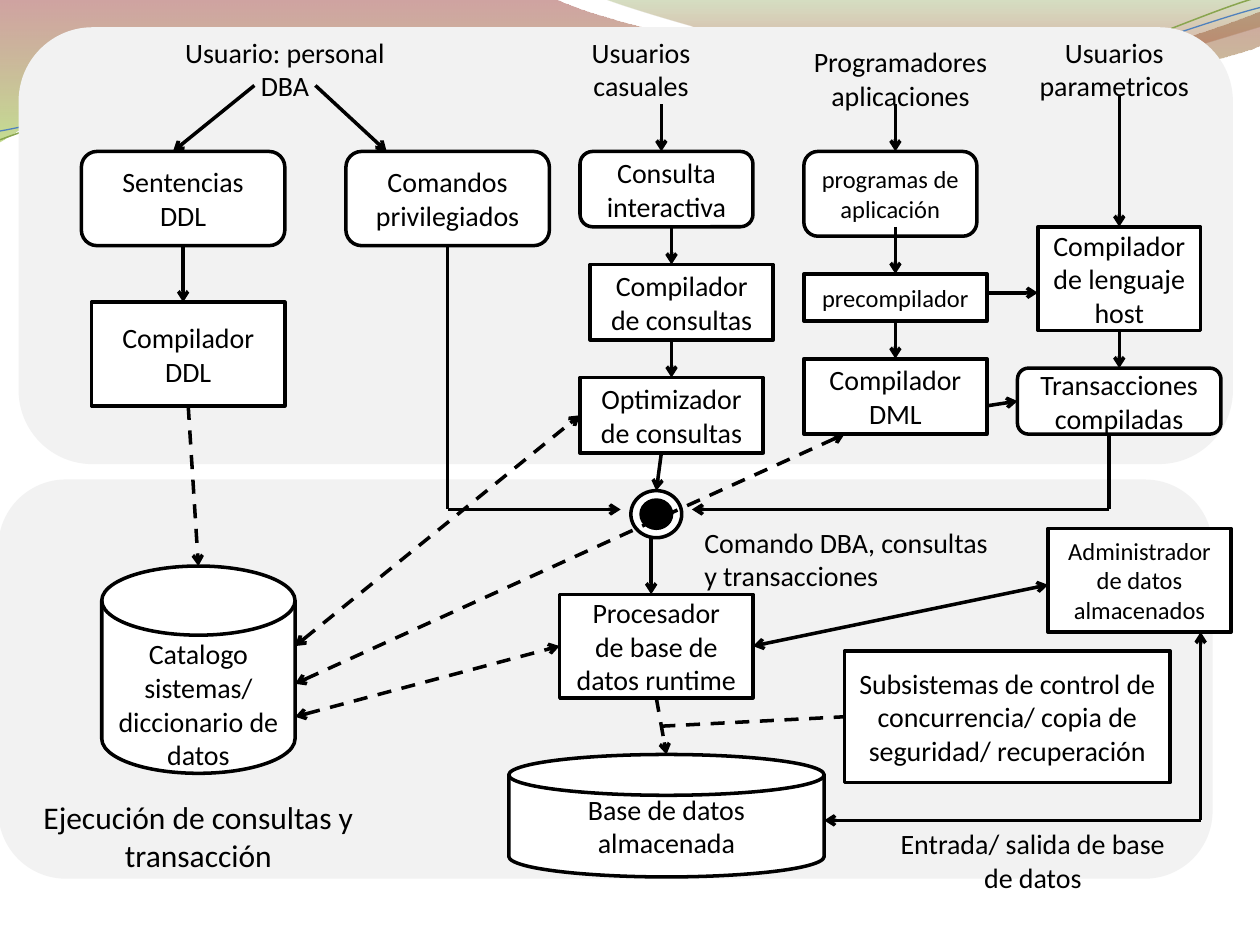
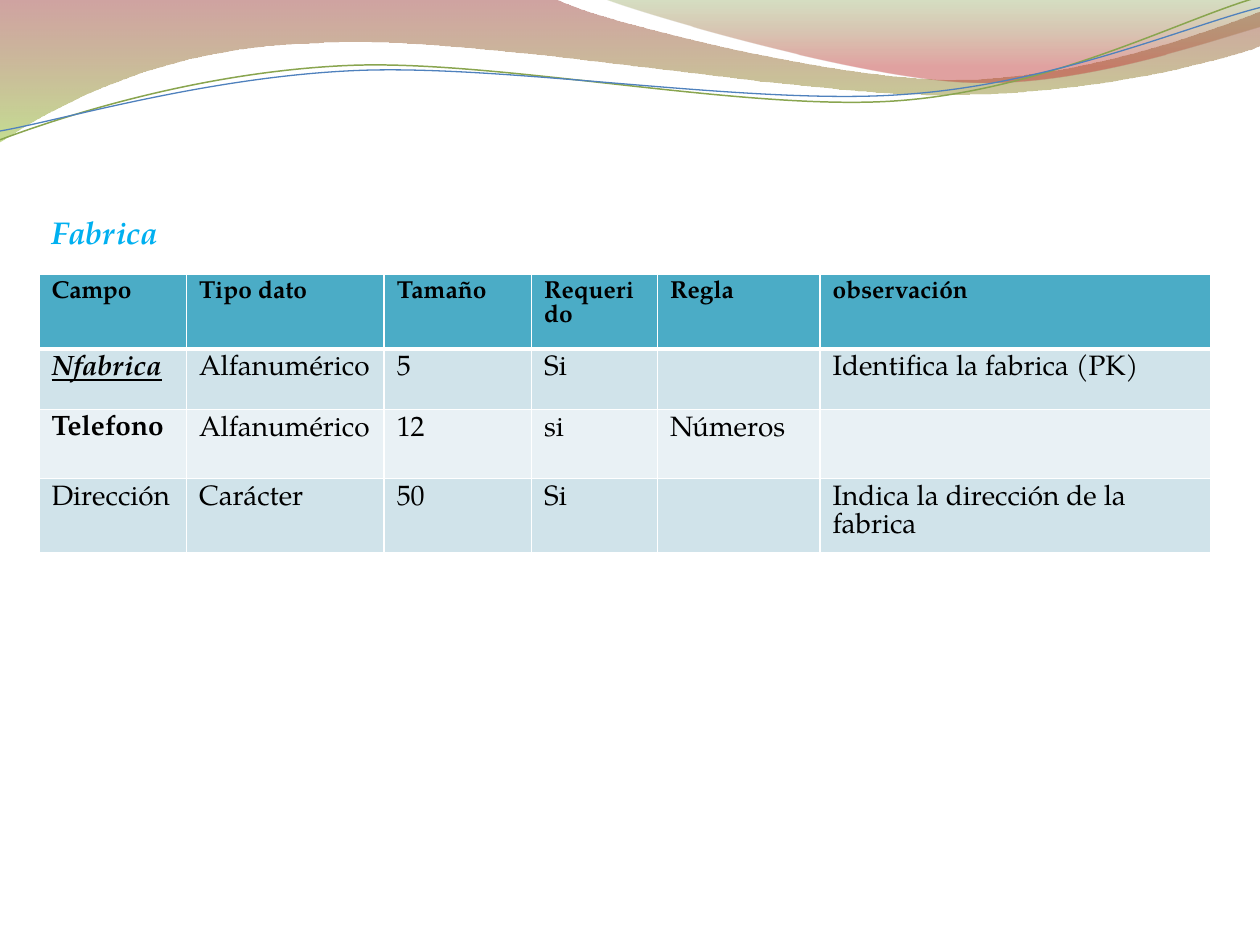
"""Two database slides: a DBMS component diagram and a table of fields."""
import pptx
import pptx.util
import pptx.dml.color
import pptx.enum.dml
import pptx.enum.shapes
import pptx.enum.text
import pptx.oxml.ns
from lxml import etree

Inches, Pt = pptx.util.Inches, pptx.util.Pt
RGBColor = pptx.dml.color.RGBColor
SHAPE = pptx.enum.shapes.MSO_SHAPE
ANCHOR = pptx.enum.text.MSO_ANCHOR
ALIGN = pptx.enum.text.PP_ALIGN
qn = pptx.oxml.ns.qn

BLACK = RGBColor(0, 0, 0)
WHITE = RGBColor(0xFF, 0xFF, 0xFF)
PANEL = RGBColor(0xF2, 0xF2, 0xF2)
TITLE_BLUE = RGBColor(0x00, 0xB0, 0xF0)
HEADER = RGBColor(0x4B, 0xAC, 0xC6)
BAND_DARK = RGBColor(0xD0, 0xE3, 0xEA)
BAND_LIGHT = RGBColor(0xE9, 0xF1, 0xF5)
WAVE_RED = RGBColor(0x97, 0x33, 0x30)
WAVE_LIME = RGBColor(0x95, 0xC2, 0x38)
WAVE_OLIVE = RGBColor(0x76, 0x95, 0x37)
WAVE_ROSE = RGBColor(0xBE, 0x33, 0x30)
CURVE_GREEN = RGBColor(0x89, 0xA5, 0x4F)
CURVE_BLUE = RGBColor(0x4F, 0x81, 0xBD)
DIAGRAM_FONT, TABLE_FONT = "Calibri", "TeX Gyre Pagella"

# Each wave is a start point, then corners (x, y) or Bezier curves (x1, y1, x2, y2, x, y).
BANDS = [
    ([(0, 0), (4.4, -0.01), (4.76, 0.17, 6.64, 0.63, 7.58, 0.63),
      (8.53, 0.63, 9.58, 0.26, 10, 0.09), (10.01, 0.36),
      (9.83, 0.44, 8.7, 0.76, 7.46, 0.75), (6.22, 0.75, 3.82, 0.28, 2.57, 0.34),
      (1.29, 0.36, 0.46, 0.83, -0.01, 1.13)],
     [(0, WAVE_RED, 45), (1, WAVE_LIME, 55)]),
    ([(4.79, -0.01), (5.09, 0.11, 6.82, 0.62, 7.69, 0.65),
      (8.56, 0.69, 9.61, 0.32, 10, 0.21), (10, 0)],
     [(0, WAVE_OLIVE, 30), (0.8, WAVE_ROSE, 45)]),
]
CURVES = [
    ([(0, 1.11), (0.48, 0.93, 1.58, 0.57, 2.77, 0.52), (3.95, 0.47, 5.93, 0.89, 7.13, 0.8),
      (8.33, 0.71, 9.38, 0.15, 9.98, -0.02)], CURVE_GREEN, 0.85),
    ([(0, 1.04), (0.47, 0.96, 1.64, 0.61, 2.83, 0.56), (4.03, 0.51, 5.97, 0.84, 7.17, 0.75),
      (8.36, 0.67, 9.41, 0.21, 10, 0.06)], CURVE_BLUE, 0.75),
]

# The diagram: places in columns and rows of its grid.
COLS, ROWS = 119, 90
PANELS = [(0, 48, 119, 42), (2, 0, 119, 46)]
ROUND, RECT, DISK = SHAPE.ROUNDED_RECTANGLE, SHAPE.RECTANGLE, SHAPE.FLOWCHART_MAGNETIC_DISK
BOXES = [
    (ROUND, (8, 13, 20, 10), "Sentencias DDL", 16),
    (ROUND, (34, 13, 20, 10), "Comandos privilegiados", 16),
    (RECT, (9, 29, 19, 11), "Compilador DDL", 16),
    (ROUND, (57, 13, 17, 8), "Consulta interactiva", 16),
    (ROUND, (79, 13, 17, 9), "programas de aplicación", 14),
    (RECT, (58, 25, 18, 8), "Compilador de consultas", 16),
    (RECT, (57, 37, 18, 8), "Optimizador de consultas", 16),
    (RECT, (79, 26, 18, 5), "precompilador", 14),
    (RECT, (79, 35, 18, 8), "Compilador DML", 16),
    (RECT, (102, 21, 16, 11), "Compilador de lenguaje host", 16),
    (ROUND, (100, 36, 20, 7), "Transacciones compiladas", 16),
    (RECT, (55, 60, 19, 11), "Procesador\vde base de datos runtime", 16),
    (DISK, (50, 77, 31, 13), "Base de datos almacenada", 16),
    (RECT, (83, 66, 32, 14),
     "Subsistemas de control de concurrencia/ copia de seguridad/ recuperación", 16),
    (RECT, (103, 53, 18, 11), "Administrador de datos almacenados", 14),
]
CATALOG = (10, 57, 19, 22)
JUNCTION, JUNCTION_CORE = (62, 49, 5, 5), (63, 50, 3, 3)
LABELS = [
    ((15, 0, 26, 8), "Usuario: personal DBA", 16, ALIGN.CENTER),
    ((52, 0, 22, 8), "Usuarios casuales", 16, ALIGN.CENTER),
    ((78, 1, 21, 8), "Programadores aplicaciones", 16, ALIGN.CENTER),
    ((99, 0, 21, 8), "Usuarios parametricos", 16, ALIGN.CENTER),
    ((3, 81, 33, 9), "Ejecución de consultas y transacción", 18, ALIGN.CENTER),
    ((87, 84, 29, 8), "Entrada/ salida de base de datos", 16, ALIGN.CENTER),
    ((68, 52, 32, 8), "Comando DBA, consultas y transacciones", 16, ALIGN.LEFT),
]
ROUTES = [  # solid, with an arrowhead at the last point
    [(18, 23), (18, 29)], [(25, 6), (17, 13)], [(31, 6), (38, 13)],
    [(97, 28), (102, 28)], [(110, 32), (110, 36)], [(88, 31), (88, 35)],
    [(88, 21), (88, 26)], [(66, 33), (66, 37)], [(66, 21), (66, 25)],
    [(97, 40), (100, 39.5)], [(44, 23), (44, 51), (61, 51)], [(65, 45), (64.5, 49)],
    [(109, 43), (109, 51), (68, 51)], [(110, 7), (110, 21)], [(65, 8), (65, 13)],
    [(88, 8), (88, 13)], [(64, 54), (64, 60)], [(118, 84), (81, 84)],
    [(118, 84), (118, 64)],
]
DASHED_ROUTES = [[(64.5, 71), (65.5, 77)], [(18.5, 40), (19.5, 57)]]
CATALOG_LINKS = [[(29, 73), (55, 65.5)], [(29, 69.5), (83, 43)], [(29, 65.5), (57, 41)]]
STORAGE_LINK = [(74, 65.5), (103, 59)]
CONTROL_LINK = [(65, 74), (83, 73)]

FIELD_COLS = [1.17, 1.57, 1.17, 1, 1.29, 3.1]
FIELD_ROWS = [0.59, 0.48, 0.55, 0.59]
FIELDS = [
    ["Campo", "Tipo dato", "Tamaño", "Requerido", "Regla", "observación"],
    ["Nfabrica", "Alfanumérico", "5", "Si", "", "Identifica la fabrica (PK)"],
    ["Telefono", "Alfanumérico", "12", "si", "Números", ""],
    ["Dirección", "Carácter", "50", "Si", "", "Indica la dirección de la fabrica"],
]


def sub(parent, tag, **attrs):
    """Add a DrawingML child element."""
    return etree.SubElement(parent, qn(tag), {k: str(v) for k, v in attrs.items()})


def style_text(p, text, size, font, color=BLACK, align=ALIGN.LEFT, bold=False, italic=False):
    """Fill one paragraph and format it."""
    p.text, p.alignment = text, align
    p.font.name, p.font.size, p.font.color.rgb = font, Pt(size), color
    p.font.bold, p.font.italic = bold, italic


def add_wave(slide, segments, close):
    """Draw one wave outline; its long segments become Bezier curves."""
    anchors = [(Inches(seg[-2]), Inches(seg[-1])) for seg in segments]
    builder = slide.shapes.build_freeform(*anchors[0])
    builder.add_line_segments(anchors[1:], close=close)
    sp = builder.convert_to_shape()
    sp.shadow.inherit = False
    for line_to, seg in zip(list(sp.element.iter(qn("a:lnTo"))), segments[1:]):
        if len(seg) == 6:
            curve = etree.Element(qn("a:cubicBezTo"))
            for x, y in zip(seg[::2], seg[1::2]):
                sub(curve, "a:pt", x=Inches(x) - sp.left, y=Inches(y) - sp.top)
            line_to.getparent().replace(line_to, curve)
    return sp


def decorate_master(prs, slide):
    """Draw the waves and move them to the back of the slide master."""
    waves = []
    for segments, stops in BANDS:
        sp = add_wave(slide, segments, True)
        sp.line.fill.background()
        sp.fill.gradient()
        sp.fill.gradient_angle = 270
        for stop, (position, color, _) in zip(sp.fill.gradient_stops, stops):
            stop.position, stop.color.rgb = position, color
        for clr, (_, _, opacity) in zip(sp.element.iter(qn("a:srgbClr")), stops):
            sub(clr, "a:alpha", val=opacity * 1000)
        waves.append(sp)
    for segments, color, width in CURVES:
        sp = add_wave(slide, segments, False)
        sp.fill.background()
        sp.line.color.rgb, sp.line.width = color, Pt(width)
        waves.append(sp)
    for i, sp in enumerate(waves):
        prs.slide_master.shapes.element.insert(2 + i, sp.element)


class Diagram:
    """Draws on a slide in the columns and rows of a box."""

    def __init__(self, slide, box):
        self.shapes = slide.shapes
        self.left, self.top, width, height = box
        self.col, self.row = width / COLS, height / ROWS

    def point(self, col, row):
        """Position of a grid point."""
        return Inches(self.left + col * self.col), Inches(self.top + row * self.row)

    def area(self, cell):
        """Left, top, width and height of a grid area."""
        col, row, width, height = cell
        return *self.point(col, row), Inches(width * self.col), Inches(height * self.row)

    def shape(self, kind, cell, text="", size=16, fill=WHITE, line=BLACK):
        """Add an outlined shape with centred text."""
        sp = self.shapes.add_shape(kind, *self.area(cell))
        sp.shadow.inherit = False
        sp.fill.solid()
        sp.fill.fore_color.rgb = fill
        sp.line.color.rgb, sp.line.width = line, Pt(2)
        if text:
            sp.text_frame.vertical_anchor = ANCHOR.MIDDLE
            style_text(sp.text_frame.paragraphs[0], text, size, DIAGRAM_FONT,
                       align=ALIGN.CENTER)
        return sp

    def label(self, cell, text, size, align):
        """Add a free text label."""
        tf = self.shapes.add_textbox(*self.area(cell)).text_frame
        tf.word_wrap = True
        tf.auto_size = pptx.enum.text.MSO_AUTO_SIZE.SHAPE_TO_FIT_TEXT
        style_text(tf.paragraphs[0], text, size, DIAGRAM_FONT, align=align)

    def route(self, points, dashed=False, head=False, tail=True):
        """Join points with straight connectors; arrowheads go on the ends."""
        for i, (start, end) in enumerate(zip(points, points[1:])):
            cx = self.shapes.add_connector(pptx.enum.shapes.MSO_CONNECTOR.STRAIGHT,
                                           *self.point(*start), *self.point(*end))
            cx.line.color.rgb, cx.line.width = BLACK, Pt(2)
            if dashed:
                cx.line.dash_style = pptx.enum.dml.MSO_LINE.DASH
            ln = cx.line._get_or_add_ln()
            if head and i == 0:
                sub(ln, "a:headEnd", type="arrow")
            if tail and i == len(points) - 2:
                sub(ln, "a:tailEnd", type="arrow")
            sub(cx.element.spPr, "a:effectLst")


def draw_components(slide, box):
    """Draw the DBMS components and the flows between them."""
    d = Diagram(slide, box)
    for cell in PANELS:
        d.shape(ROUND, cell, fill=PANEL, line=PANEL)
    for kind, cell, text, size in BOXES:
        d.shape(kind, cell, text, size)
    catalog = d.shape(DISK, CATALOG, "Catalogo sistemas/ diccionario de datos")
    catalog.text_frame.margin_top = Inches(0.32)
    d.shape(SHAPE.FLOWCHART_CONNECTOR, JUNCTION)
    d.shape(SHAPE.FLOWCHART_CONNECTOR, JUNCTION_CORE, fill=BLACK)
    for points in ROUTES:
        d.route(points)
    for points in DASHED_ROUTES:
        d.route(points, dashed=True)
    for points in CATALOG_LINKS:
        d.route(points, dashed=True, head=True)
    d.route(STORAGE_LINK, head=True)
    d.route(CONTROL_LINK, dashed=True, tail=False)
    for label in LABELS:
        d.label(*label)


def set_title(slide, text, box):
    """Place and format the title placeholder."""
    title = slide.shapes.title
    title.left, title.top, title.width, title.height = map(Inches, box)
    tf = title.text_frame
    tf.vertical_anchor = ANCHOR.TOP
    tf.auto_size = pptx.enum.text.MSO_AUTO_SIZE.NONE
    style_text(tf.paragraphs[0], text, 18, TABLE_FONT, TITLE_BLUE, bold=True, italic=True)


def set_borders(cell, top, bottom):
    """Give a cell white borders; top and bottom widths are in points."""
    tc_pr = cell._tc.get_or_add_tcPr()
    for side, width in (("L", 1), ("R", 1), ("T", top), ("B", bottom)):
        ln = sub(tc_pr, "a:ln" + side, w=Pt(width))
        sub(sub(ln, "a:solidFill"), "a:srgbClr", val=WHITE)


def add_field_table(slide, left, top):
    """Add the table of fields with its header and bands."""
    table = slide.shapes.add_table(
        len(FIELDS), len(FIELD_COLS), Inches(left), Inches(top),
        Inches(sum(FIELD_COLS)), Inches(sum(FIELD_ROWS))).table
    for column, width in zip(table.columns, FIELD_COLS):
        column.width = Inches(width)
    for r, (values, height) in enumerate(zip(FIELDS, FIELD_ROWS)):
        table.rows[r].height = Inches(height)
        for c, text in enumerate(values):
            cell = table.cell(r, c)
            set_borders(cell, 3 if r == 1 else 1, 3 if r == 0 else 1)
            cell.fill.solid()
            cell.fill.fore_color.rgb = HEADER if r == 0 else (BAND_LIGHT, BAND_DARK)[r % 2]
            p = cell.text_frame.paragraphs[0]
            is_key = text == "Nfabrica"
            style_text(p, text, 14 if r == 0 else 16, TABLE_FONT,
                       bold=r == 0 or is_key or text == "Telefono", italic=is_key)
            p.font.underline = is_key


prs = pptx.Presentation()
prs.slide_width, prs.slide_height = Inches(10), Inches(7.5)
TITLE_ONLY, BLANK = prs.slide_layouts[5], prs.slide_layouts[6]

components = prs.slides.add_slide(BLANK)
decorate_master(prs, components)
draw_components(components, (0, 0.23, 9.61, 6.73))

fields = prs.slides.add_slide(TITLE_ONLY)
set_title(fields, "Fabrica", (0.31, 1.64, 4.84, 0.4))
add_field_table(fields, 0.31, 2.18)

prs.save("out.pptx")
